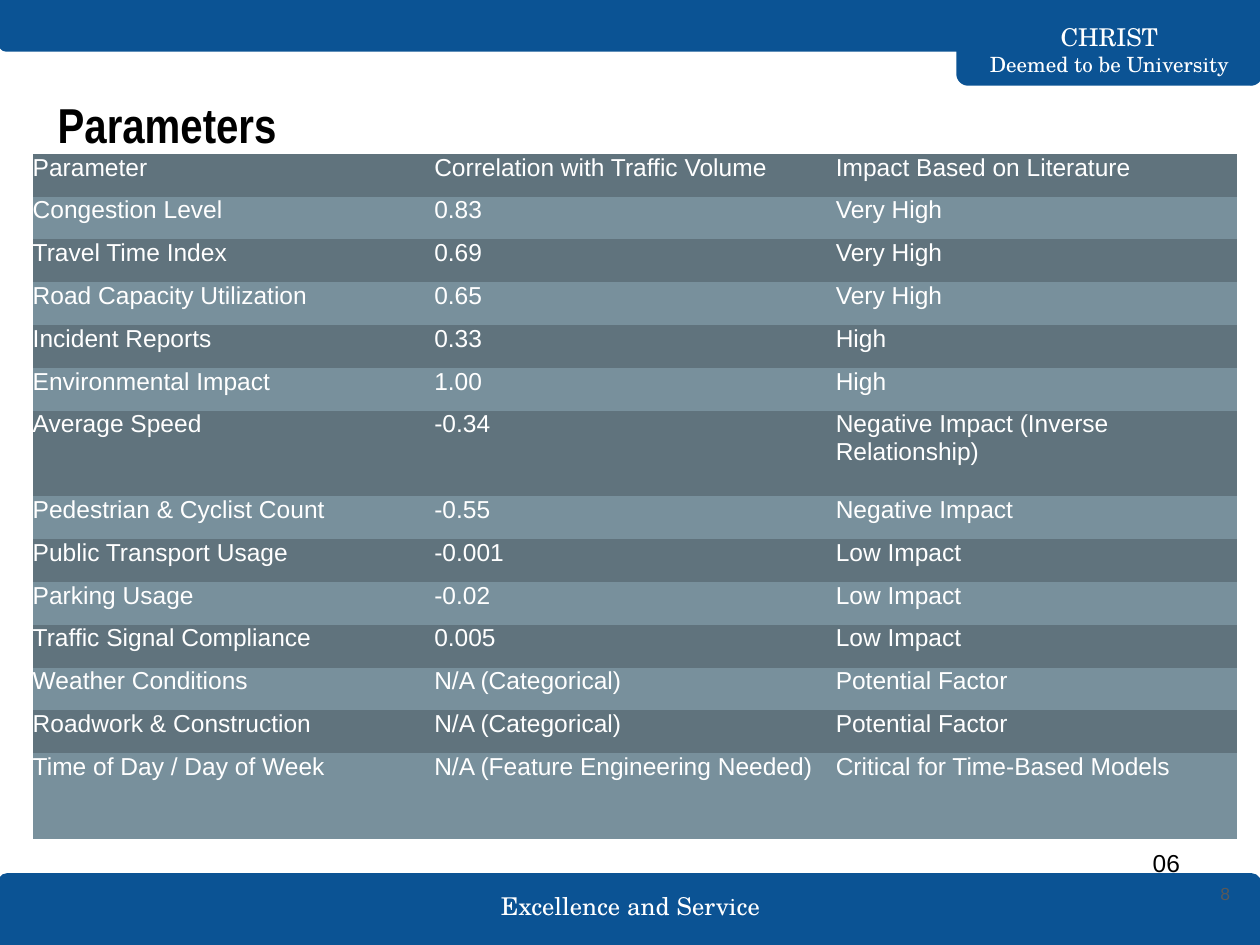
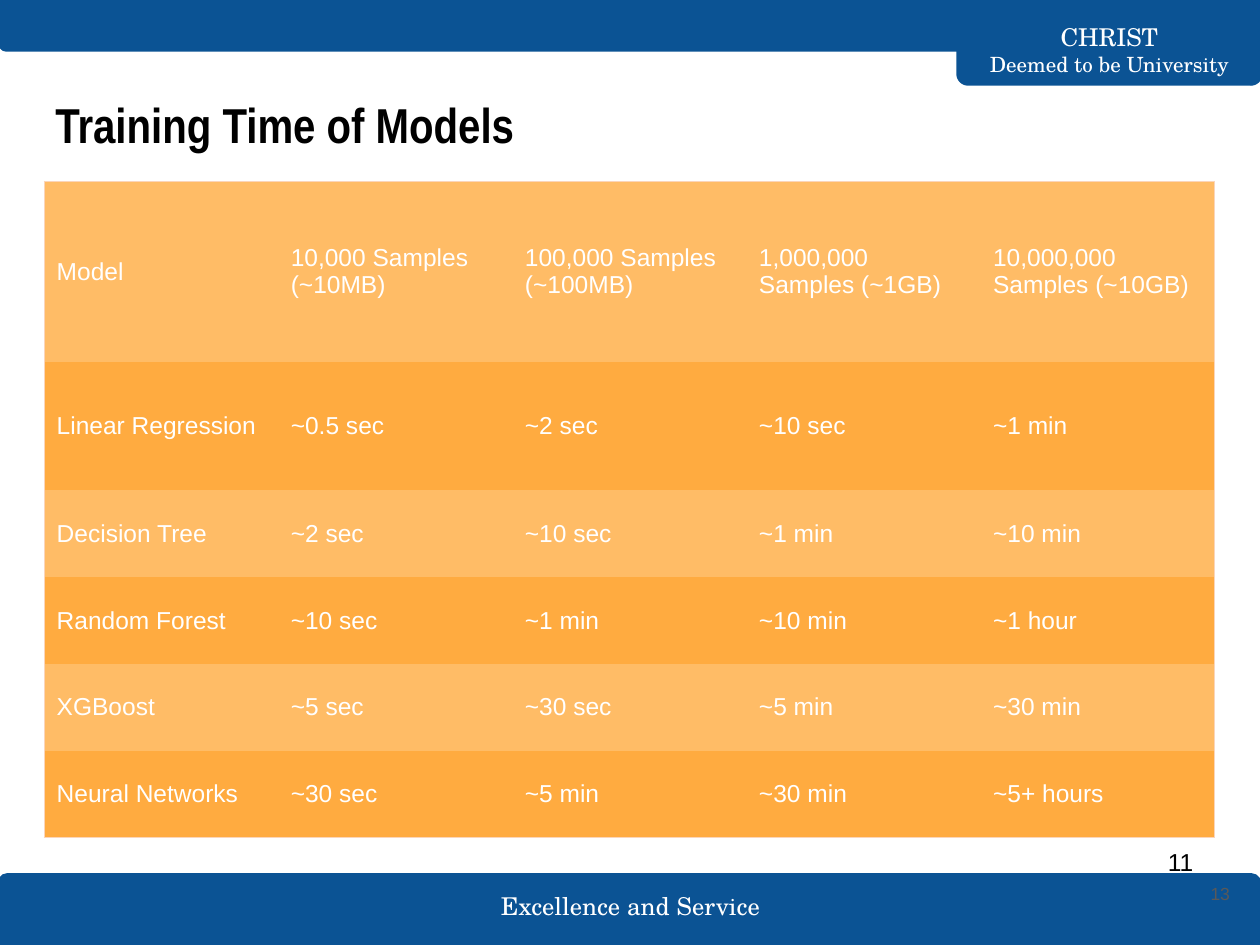
import pptx
import pptx.util
import pptx.dml.color
import pptx.enum.shapes
import pptx.enum.text
import pptx.oxml.ns
import lxml.etree
from dataclasses import dataclass

Inches, Pt = pptx.util.Inches, pptx.util.Pt
Align, Anchor = pptx.enum.text.PP_ALIGN, pptx.enum.text.MSO_ANCHOR


# Theme
@dataclass(frozen=True)
class Theme:
    blue: str = "0B5394"
    white: str = "FFFFFF"
    black: str = "000000"
    grey: str = "595959"
    edge: str = "FBD5BA"
    slate: tuple = ("60737D", "78909C")
    amber: tuple = ("FFBC66", "FFAB40")
    sans: str = "Arial"
    narrow: str = "Arial Narrow"
    serif: str = "TeX Gyre Schola"
    head: int = 28
    body: int = 14
    small: int = 12
    tiny: int = 10


T = Theme()
PLAIN = "{2D5ABB26-0587-4C30-8999-92F81FD0307C}"

# Content
MOTTO = "Excellence and Service"
SCHOOL = [("CHRIST", T.body), ("Deemed to be University", T.small)]

FACTORS = [
    ("Parameter", "Correlation with Traffic Volume", "Impact Based on Literature"),
    ("Congestion Level", "0.83", "Very High"),
    ("Travel Time Index", "0.69", "Very High"),
    ("Road Capacity Utilization", "0.65", "Very High"),
    ("Incident Reports", "0.33", "High"),
    ("Environmental Impact", "1.00", "High"),
    ("Average Speed", "-0.34", "Negative Impact (Inverse Relationship)"),
    ("Pedestrian & Cyclist Count", "-0.55", "Negative Impact"),
    ("Public Transport Usage", "-0.001", "Low Impact"),
    ("Parking Usage", "-0.02", "Low Impact"),
    ("Traffic Signal Compliance", "0.005", "Low Impact"),
    ("Weather Conditions", "N/A (Categorical)", "Potential Factor"),
    ("Roadwork & Construction", "N/A (Categorical)", "Potential Factor"),
    ("Time of Day / Day of Week", "N/A (Feature Engineering Needed)",
     "Critical for Time-Based Models"),
]
TIMES = [
    ("Model", "10,000 Samples (~10MB)", "100,000 Samples (~100MB)",
     "1,000,000 Samples (~1GB)", "10,000,000 Samples (~10GB)"),
    ("Linear Regression", "~0.5 sec", "~2 sec", "~10 sec", "~1 min"),
    ("Decision Tree", "~2 sec", "~10 sec", "~1 min", "~10 min"),
    ("Random Forest", "~10 sec", "~1 min", "~10 min", "~1 hour"),
    ("XGBoost", "~5 sec", "~30 sec", "~5 min", "~30 min"),
    ("Neural Networks", "~30 sec", "~5 min", "~30 min", "~5+ hours"),
]
# "tall" maps a row to its height where it differs from "step"
SLIDES = [
    dict(title="Parameters", left=0.36, count="8",
         page="06", spot=(9.05, 6.68, 0.6, 0.34),
         grid=dict(rows=FACTORS, at=(0.26, 1.22), wide=9.56, step=0.34,
                   tall={6: 0.68, 13: 0.68}, fills=T.slate,
                   inset=(0, 0), anchor=Anchor.TOP)),
    dict(title="Training Time of Models", left=0.34, count="13",
         page="11", spot=(9.17, 6.67, 0.49, 0.34),
         grid=dict(rows=TIMES, at=(0.35, 1.44), wide=9.29, step=0.69,
                   tall={0: 1.43, 1: 1.02}, fills=T.amber,
                   inset=(0.1, 0.05), anchor=Anchor.MIDDLE, edge=T.edge)),
]


def paint(fill, tone):
    fill.solid()
    fill.fore_color.rgb = pptx.dml.color.RGBColor.from_string(tone)


def style(para, size, face, tone, bold=False, align=Align.LEFT):
    para.alignment = align
    font = para.font
    font.size, font.name, font.bold = Pt(size), face, bold
    paint(font.fill, tone)


def write(slide, box, lines, face, tone, inset=(0.1, 0.1), anchor=Anchor.TOP, **look):
    """Add a text box; each line is a (text, size) pair."""
    frame = slide.shapes.add_textbox(*map(Inches, box)).text_frame
    frame.word_wrap = True
    frame.vertical_anchor = anchor
    frame.margin_left = frame.margin_right = Inches(inset[0])
    frame.margin_top = frame.margin_bottom = Inches(inset[1])
    for i, (text, size) in enumerate(lines):
        para = frame.add_paragraph() if i else frame.paragraphs[0]
        para.text = text
        style(para, size, face, tone, **look)


def band(slide, box, turn=0):
    kind = pptx.enum.shapes.MSO_SHAPE.ROUND_2_SAME_RECTANGLE
    shape = slide.shapes.add_shape(kind, *map(Inches, box))
    shape.adjustments[0], shape.adjustments[1] = 0.125, 0
    shape.rotation = turn
    shape.shadow.inherit = False
    paint(shape.fill, T.blue)
    paint(shape.line.fill, T.blue)
    shape.line.width = Pt(1.5)


def rule(cell, side, tone):
    """Draw one cell border; side is L, R, T or B."""
    qn = pptx.oxml.ns.qn
    line = lxml.etree.SubElement(cell._tc.get_or_add_tcPr(), qn("a:ln" + side),
                                 w=str(Pt(0.75)))
    solid = lxml.etree.SubElement(line, qn("a:solidFill"))
    lxml.etree.SubElement(solid, qn("a:srgbClr"), val=tone)


def table(slide, rows, at, wide, step, tall, fills, inset, anchor, edge=None):
    high = [tall.get(r, step) for r in range(len(rows))]
    last, end = len(rows) - 1, len(rows[0]) - 1
    frame = slide.shapes.add_table(len(rows), len(rows[0]),
                                   *map(Inches, (*at, wide, sum(high))))
    grid = frame.table
    grid.first_row = grid.horz_banding = False
    grid._tbl.tblPr.find(pptx.oxml.ns.qn("a:tableStyleId")).text = PLAIN
    for col in grid.columns:
        col.width = Inches(wide / len(rows[0]))
    for r, row in enumerate(rows):
        grid.rows[r].height = Inches(high[r])
        for c, text in enumerate(row):
            cell = grid.cell(r, c)
            cell.text = text
            cell.vertical_anchor = anchor
            cell.margin_left = cell.margin_right = Inches(inset[0])
            cell.margin_top = cell.margin_bottom = Inches(inset[1])
            style(cell.text_frame.paragraphs[0], T.body, T.sans, T.white)
            # Outer frame only, and lines must come before the fill
            sides = (("L", c == 0), ("R", c == end), ("T", r == 0), ("B", r == last))
            for side, outer in sides:
                if edge and outer:
                    rule(cell, side, edge)
            paint(cell.fill, fills[r % 2])


def base(slide):
    """Bands and texts that every slide carries."""
    mid = dict(face=T.serif, tone=T.white, anchor=Anchor.MIDDLE, align=Align.CENTER)
    band(slide, (-0.01, 6.94, 10.01, 0.56))
    write(slide, (3.66, 7.03, 2.69, 0.32), [(MOTTO, T.body)], **mid)
    band(slide, (7.6, 0, 2.41, 0.67), 180)
    band(slide, (0, 0, 10.01, 0.4), 180)
    write(slide, (7.6, 0.27, 2.41, 0.25), SCHOOL, **mid)


def main():
    deck = pptx.Presentation()
    deck.slide_width, deck.slide_height = Inches(10), Inches(7.5)
    for item in SLIDES:
        slide = deck.slides.add_slide(deck.slide_layouts[6])
        base(slide)
        left = item["left"]
        write(slide, (left, 0.65, 9.66 - left, 0.65), [(item["title"], T.head)],
              T.narrow, T.black, bold=True)
        table(slide, **item["grid"])
        write(slide, item["spot"], [(item["page"], T.body)], T.sans, T.black,
              inset=(0.1, 0.05))
        write(slide, (9.26, 6.94, 0.6, 0.3), [(item["count"], T.tiny)], T.sans,
              T.grey, anchor=Anchor.MIDDLE, align=Align.RIGHT)
    deck.save("out.pptx")


if __name__ == "__main__":
    main()
